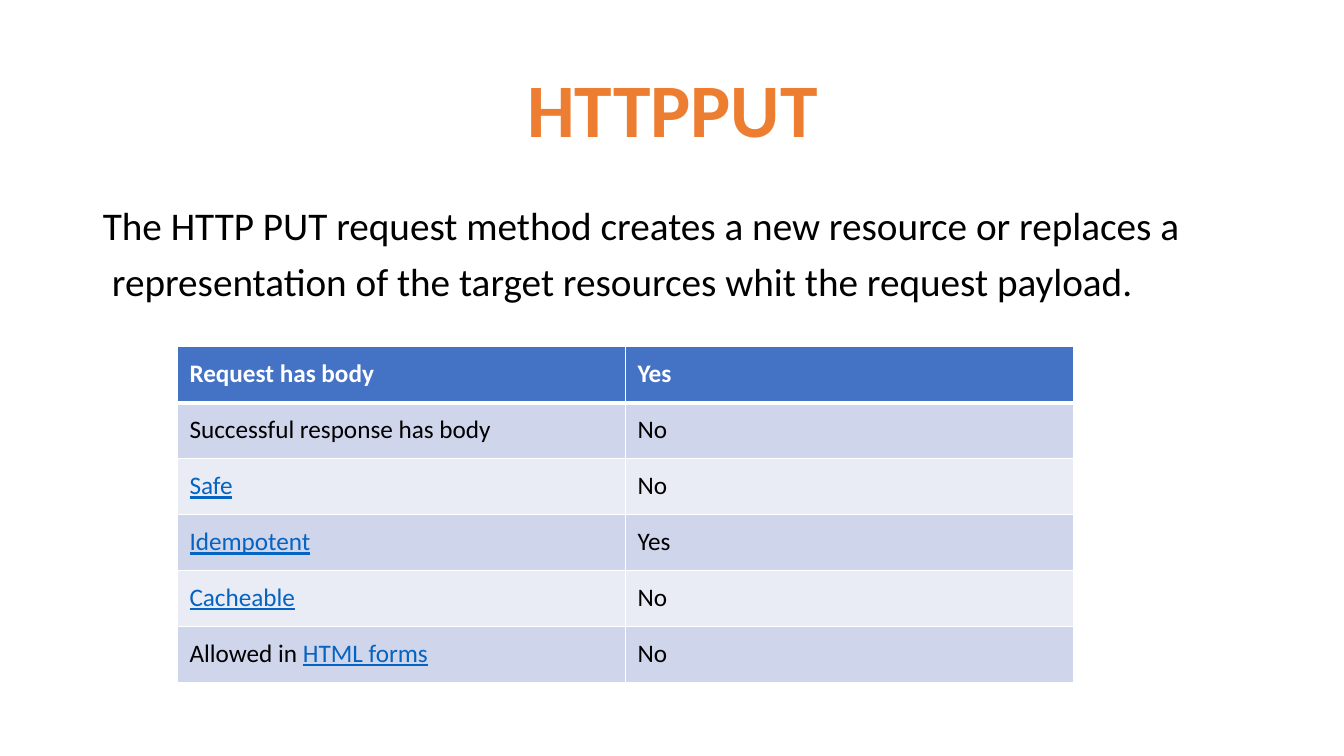
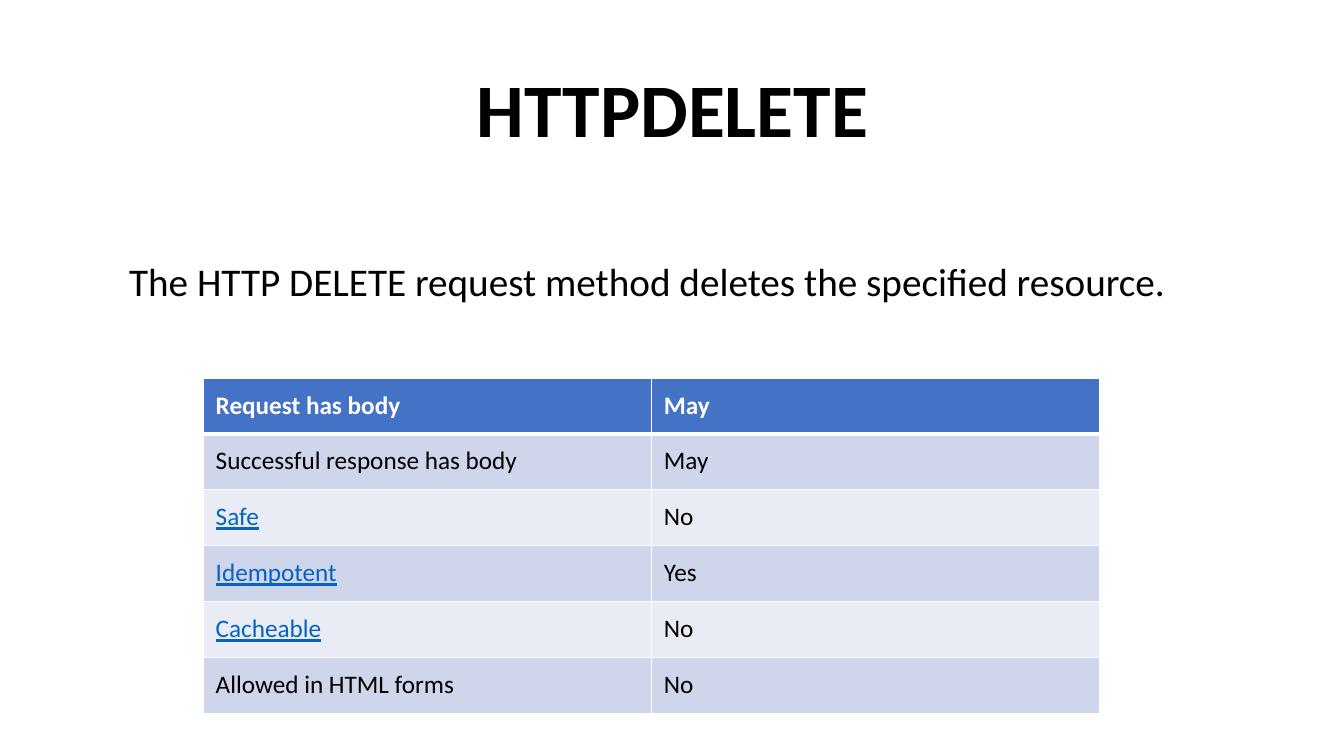
from lxml.etree import SubElement
from pptx import Presentation
from pptx.dml.color import RGBColor
from pptx.enum.text import MSO_ANCHOR, PP_ALIGN
from pptx.oxml.ns import qn
from pptx.util import Inches, Pt

FONT = "Calibri"
BLACK, WHITE, ORANGE, LINK = "000000", "FFFFFF", "ED7D31", "0563C1"
HEADER, BANDS = "4472C4", ("CFD5EA", "E9EBF5")

TITLE_BOX = (0.92, 0.4, 11.5, 1.45)
BODY_BOX = (0.92, 2, 11.5, 4.76)
BODY_LINE = 0.56
TABLE_SIZE = (8.89, 3.33)
CELL_MARGIN = 0.12

# Body lines are (text, indent in inches).
# Table cells are (plain text, link-styled text).
SLIDES = [
    {
        "title": "HTTPPUT",
        "title_color": ORANGE,
        "lines_down": 0,
        "body": [
            ("The HTTP PUT request method creates a new resource or replaces a", 0),
            ("representation of the target resources whit the request payload.", 0.09),
        ],
        "table_at": (1.76, 3.44),
        "rows": [
            (("Request has body", ""), ("Yes", "")),
            (("Successful response has body", ""), ("No", "")),
            (("", "Safe"), ("No", "")),
            (("", "Idempotent"), ("Yes", "")),
            (("", "Cacheable"), ("No", "")),
            (("Allowed in ", "HTML forms"), ("No", "")),
        ],
    },
    {
        "title": "HTTPDELETE",
        "title_color": BLACK,
        "lines_down": 1,
        "body": [
            ("The HTTP DELETE request method deletes the specified resource.", 0.26),
        ],
        "table_at": (2.02, 3.75),
        "rows": [
            (("Request has body", ""), ("May", "")),
            (("Successful response has body", ""), ("May", "")),
            (("", "Safe"), ("No", "")),
            (("", "Idempotent"), ("Yes", "")),
            (("", "Cacheable"), ("No", "")),
            (("Allowed in HTML forms", ""), ("No", "")),
        ],
    },
]


def rgb(color):
    return RGBColor.from_string(color)


def place(sp, left, top, width, height):
    sp.left, sp.top = Inches(left), Inches(top)
    sp.width, sp.height = Inches(width), Inches(height)


def style(r, size, color, bold=False, underline=False):
    r.font.name, r.font.size = FONT, Pt(size)
    r.font.bold, r.font.underline = bold, underline
    r.font.color.rgb = rgb(color)


def fill_title(sp, text, color):
    tf = sp.text_frame
    tf.text = text
    tf.vertical_anchor = MSO_ANCHOR.MIDDLE
    p = tf.paragraphs[0]
    p.alignment, p.line_spacing = PP_ALIGN.CENTER, 0.9
    style(p.runs[0], 54, color, bold=True)


def fill_body(sp, lines, lines_down):
    left, top, width, height = BODY_BOX
    shift = lines_down * BODY_LINE
    place(sp, left, top + shift, width, height - shift)
    tf = sp.text_frame
    tf.text = "\n".join(text for text, _ in lines)
    for p, (_, indent) in zip(tf.paragraphs, lines):
        p.line_spacing, p.space_before = 0.9, Pt(10)
        pPr = p._p.get_or_add_pPr()
        pPr.set("marL", str(Inches(indent)))
        pPr.set("indent", "0")
        SubElement(pPr, qn("a:buNone"))
        style(p.runs[0], 28, BLACK)


def set_borders(cell, top, bottom):
    """Draw white borders, 1 pt at the sides and as given above and below."""
    tcPr = cell._tc.get_or_add_tcPr()
    for side, width in (("L", 1), ("R", 1), ("T", top), ("B", bottom)):
        ln = SubElement(tcPr, qn(f"a:ln{side}"), w=str(Pt(width)))
        SubElement(SubElement(ln, qn("a:solidFill")), qn("a:srgbClr"), val=WHITE)


def fill_cell(cell, row, plain, linked):
    header = row == 0
    set_borders(cell, 3 if row == 1 else 1, 3 if header else 1)
    cell.fill.solid()
    cell.fill.fore_color.rgb = rgb(HEADER if header else BANDS[(row - 1) % 2])
    margin = Inches(CELL_MARGIN)
    cell.margin_left = cell.margin_right = margin
    cell.margin_top = cell.margin_bottom = margin
    p = cell.text_frame.paragraphs[0]
    for text, color in ((plain, WHITE if header else BLACK), (linked, LINK)):
        if text:
            r = p.add_run()
            r.text = text
            style(r, 18, color, bold=header, underline=color == LINK)


def add_properties_table(s, at, rows):
    size = [Inches(v) for v in (*at, *TABLE_SIZE)]
    table = s.shapes.add_table(len(rows), len(rows[0]), *size).table
    for i, row in enumerate(rows):
        for j, (plain, linked) in enumerate(row):
            fill_cell(table.cell(i, j), i, plain, linked)


def main():
    prs = Presentation()
    prs.slide_width, prs.slide_height = Inches(13.33), Inches(7.5)
    layout = prs.slide_layouts[1]
    for sp, box in zip(layout.placeholders, (TITLE_BOX, BODY_BOX)):
        place(sp, *box)
    for content in SLIDES:
        s = prs.slides.add_slide(layout)
        fill_title(s.shapes.title, content["title"], content["title_color"])
        fill_body(s.placeholders[1], content["body"], content["lines_down"])
        add_properties_table(s, content["table_at"], content["rows"])
    prs.save("out.pptx")


if __name__ == "__main__":
    main()
